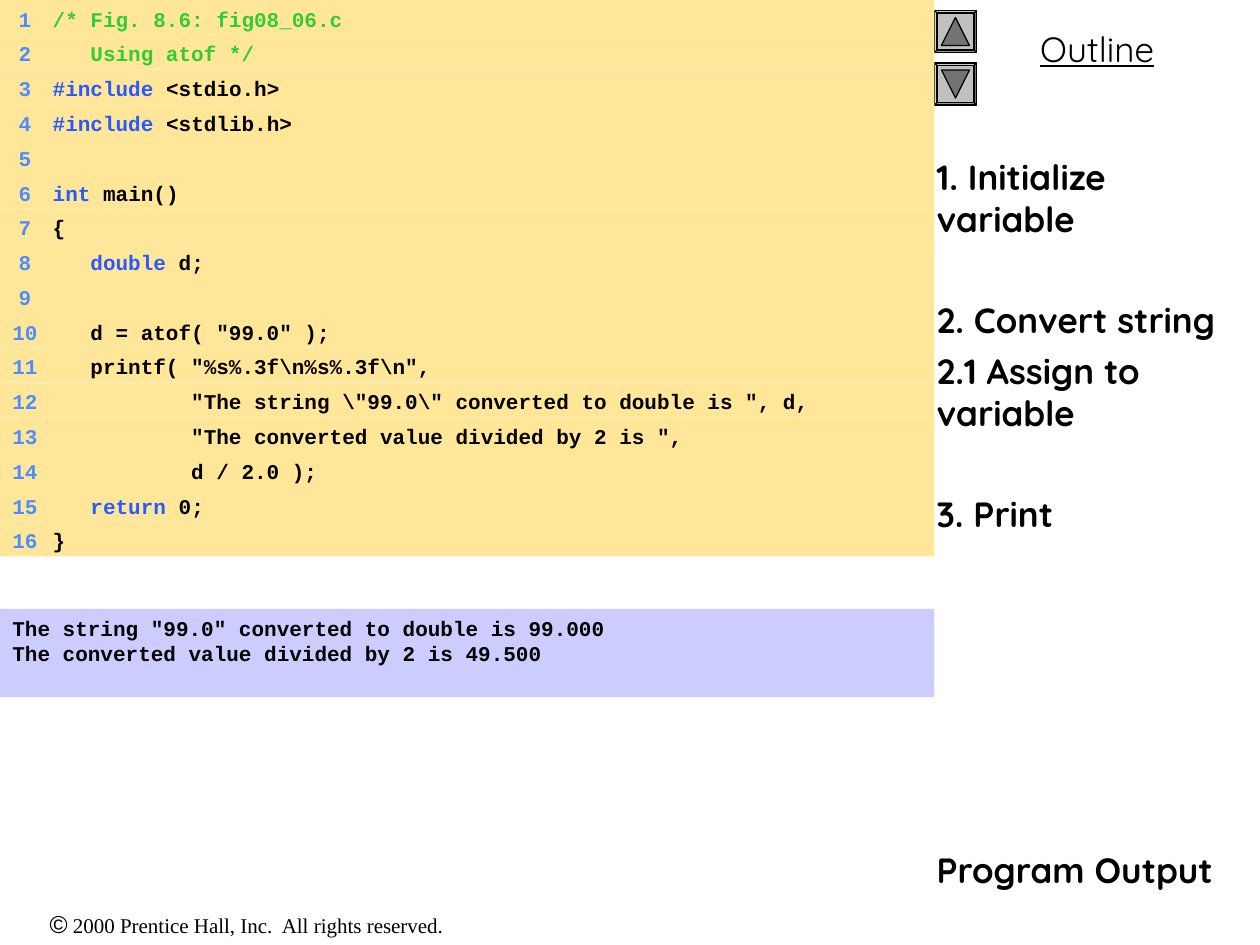
"""Build the code walkthrough slide for the atof example."""
from dataclasses import dataclass
from typing import Any, NamedTuple

from lxml.etree import SubElement
from pptx import Presentation
from pptx.dml.color import RGBColor
from pptx.enum.shapes import MSO_SHAPE
from pptx.enum.text import MSO_ANCHOR, MSO_AUTO_SIZE, PP_ALIGN
from pptx.oxml.ns import qn
from pptx.util import Pt


@dataclass(frozen=True)
class Theme:
    """Colours, fonts and type sizes of the slide."""
    ink: str = "000000"
    number: str = "4D8DFF"
    comment: str = "33CC33"
    keyword: str = "275AFF"
    code_fill: str = "FFE699"
    output_fill: str = "CCCCFF"
    button: str = "C0C0C0"
    arrow: str = "737373"
    code_font: str = "Courier New"
    outline_font: str = "Quicksand"
    notice_font: str = "Times New Roman"
    symbol_font: str = "Arial"
    code_size: float = 12
    outline_size: float = 20
    symbol_size: float = 14


class Box(NamedTuple):
    """A rectangle in points."""
    left: float
    top: float
    width: float
    height: float


class Span(NamedTuple):
    """A piece of code in one colour."""
    text: str
    color: str


class Step(NamedTuple):
    """An outline entry and the space above it."""
    text: str
    space_before: float


class Button(NamedTuple):
    """A navigation button and the turn of its arrow."""
    top: float
    rotation: float


THEME = Theme()
CODE_WIDTH = 534
ROW_HEIGHT = 19.87
BUTTON_SIZE = 24
ARROW_INSET = 4
CODE_TABS = ((10.8, "r"), (23.04, "l"))


def plain(text: str) -> Span:
    return Span(text, THEME.ink)


def keyword(text: str) -> Span:
    return Span(text, THEME.keyword)


def comment(text: str) -> Span:
    return Span(text, THEME.comment)


CODE: list[list[Span]] = [
    [comment("/* Fig. 8.6: fig08_06.c")],
    [comment("   Using atof */")],
    [keyword("#include"), plain(" <stdio.h>")],
    [keyword("#include"), plain(" <stdlib.h>")],
    [],
    [keyword("int"), plain(" main()")],
    [plain("{")],
    [keyword("   double"), plain(" d;")],
    [],
    [plain('   d = atof( "99.0" );')],
    [plain(r'   printf( "%s%.3f\n%s%.3f\n",')],
    [plain(r'           "The string \"99.0\" converted to double is ", d,')],
    [plain('           "The converted value divided by 2 is ",')],
    [plain("           d / 2.0 );")],
    [keyword("   return"), plain(" 0;")],
    [plain("}")],
]
OUTPUT = [
    'The string "99.0" converted to double is 99.000',
    "The converted value divided by 2 is 49.500",
]
STEPS = [
    Step("1. Initialize variable", 0),
    Step("2. Convert string", 34),
    Step("2.1 Assign to variable", 5),
    Step("3. Print", 34),
    Step("Program Output", 179),
]
BUTTONS = [Button(6, 0), Button(36, 180)]


def write(para: Any, text: str, *, font: str, size: float, color: str = THEME.ink,
          bold: bool = False, underline: bool = False) -> None:
    """Add a formatted span of text to a paragraph."""
    span = para.add_run()
    span.text = text
    span.font.name = font
    span.font.size = Pt(size)
    span.font.bold = bold
    span.font.underline = underline
    span.font.color.rgb = RGBColor.from_string(color)


def write_code(para: Any, text: str, color: str = THEME.ink) -> None:
    """Add a span in the code style."""
    write(para, text, font=THEME.code_font, size=THEME.code_size, color=color, bold=True)


def next_para(frame: Any, index: int) -> Any:
    """Return the first paragraph, or a new one after it."""
    return frame.add_paragraph() if index else frame.paragraphs[0]


def place(shape: Any, box: Box) -> Any:
    """Move a text shape and return its frame, wrapped and top-anchored."""
    shape.left, shape.top, shape.width, shape.height = map(Pt, box)
    frame = shape.text_frame
    frame.word_wrap = True
    frame.auto_size = MSO_AUTO_SIZE.NONE
    frame.vertical_anchor = MSO_ANCHOR.TOP
    return frame


def draw_shape(page: Any, kind: MSO_SHAPE, box: Box, fill: str, line: str | None = None) -> Any:
    """Draw a flat preset shape."""
    shape = page.shapes.add_shape(kind, *map(Pt, box))
    shape.shadow.inherit = False
    shape.fill.solid()
    shape.fill.fore_color.rgb = RGBColor.from_string(fill)
    if line:
        shape.line.color.rgb = RGBColor.from_string(line)
        shape.line.width = Pt(0.75)
    else:
        shape.line.fill.background()
    return shape


def draw_panel(page: Any, box: Box, fill: str) -> Any:
    """Draw a filled panel and return its text frame."""
    return place(draw_shape(page, MSO_SHAPE.RECTANGLE, box, fill), box)


def draw_code_row(page: Any, index: int, spans: list[Span]) -> None:
    """Draw one numbered line of code."""
    frame = draw_panel(page, Box(0, index * ROW_HEIGHT, CODE_WIDTH, ROW_HEIGHT), THEME.code_fill)
    para = frame.paragraphs[0]
    para.alignment = PP_ALIGN.LEFT
    tabs = SubElement(para._p.get_or_add_pPr(), qn("a:tabLst"))
    for position, side in CODE_TABS:
        SubElement(tabs, qn("a:tab"), pos=str(Pt(position)), algn=side)
    write_code(para, f"\t{index + 1}\t", THEME.number)
    for span in spans:
        write_code(para, span.text, span.color)


def draw_output(page: Any) -> None:
    """Draw the panel with the program output."""
    frame = draw_panel(page, Box(0, 348, CODE_WIDTH, 50.4), THEME.output_fill)
    for index, text in enumerate(OUTPUT):
        para = next_para(frame, index)
        para.alignment = PP_ALIGN.LEFT
        write_code(para, text)


def draw_button(page: Any, button: Button) -> None:
    """Draw a bevelled button with an arrow."""
    box = Box(CODE_WIDTH, button.top, BUTTON_SIZE, BUTTON_SIZE)
    bevel = draw_shape(page, MSO_SHAPE.BEVEL, box, THEME.button, THEME.ink)
    bevel.adjustments[0] = 0.06
    side = BUTTON_SIZE - 2 * ARROW_INSET
    inner = Box(box.left + ARROW_INSET, box.top + ARROW_INSET, side, side)
    arrow = draw_shape(page, MSO_SHAPE.ISOSCELES_TRIANGLE, inner, THEME.arrow, THEME.ink)
    arrow.rotation = button.rotation


def draw_outline(page: Any) -> None:
    """Fill the title and the list of steps."""
    title = place(page.shapes.title, Box(534, 12, 186, 32)).paragraphs[0]
    title.alignment = PP_ALIGN.CENTER
    write(title, "Outline", font=THEME.outline_font, size=THEME.outline_size, underline=True)
    frame = place(page.placeholders[1], Box(528, 85, 192, 455))
    for index, step in enumerate(STEPS):
        para = next_para(frame, index)
        para.alignment = PP_ALIGN.LEFT
        para.space_before = Pt(step.space_before)
        write(para, step.text, font=THEME.outline_font, size=THEME.outline_size, bold=True)


def draw_notice(page: Any) -> None:
    """Write the copyright line."""
    box = Box(0, 516, 282, 24)
    para = place(page.shapes.add_textbox(*map(Pt, box)), box).paragraphs[0]
    para.alignment = PP_ALIGN.CENTER
    write(para, "©", font=THEME.symbol_font, size=THEME.symbol_size)
    write(para, " 2000 Prentice Hall, Inc.  All rights reserved.",
          font=THEME.notice_font, size=THEME.code_size)


def main() -> None:
    """Build and save the deck."""
    deck = Presentation()
    deck.slide_width, deck.slide_height = Pt(720), Pt(540)
    page = deck.slides.add_slide(deck.slide_layouts[0])
    draw_notice(page)
    draw_outline(page)
    for button in BUTTONS:
        draw_button(page, button)
    for index, spans in enumerate(CODE):
        draw_code_row(page, index, spans)
    draw_output(page)
    deck.save("out.pptx")


if __name__ == "__main__":
    main()
